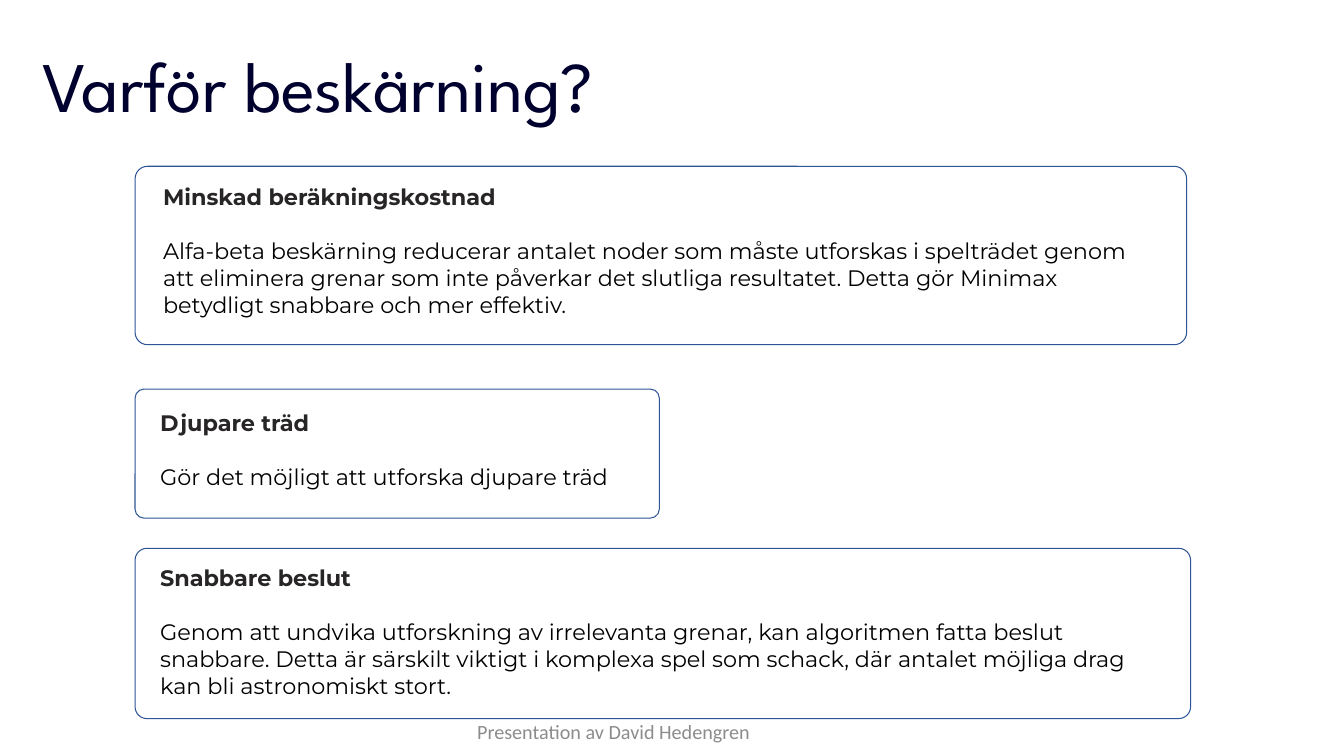
import pptx
import pptx.dml.color
import pptx.enum.shapes
import pptx.enum.text
import pptx.util

RGBColor = pptx.dml.color.RGBColor
NAVY = RGBColor(0x00, 0x00, 0x2E)
BLUE = RGBColor(0x2F, 0x55, 0x97)
DARK = RGBColor(0x27, 0x25, 0x25)
BLACK = RGBColor(0x00, 0x00, 0x00)
GREY = RGBColor(0x8C, 0x8C, 0x8C)
WIDTH = pptx.util.Inches(13.33)
HEIGHT = pptx.util.Inches(7.5)

# Each card: box, text inset (x, y), text size (w, h), heading, body; all in percent of the slide.
CARDS = [
    ((10.05, 22, 78.24, 23.6), (1.35, 1.6), (74.57, 19.33), "Minskad beräkningskostnad",
     "Alfa-beta beskärning reducerar antalet noder som måste utforskas i spelträdet genom "
     "att eliminera grenar som inte påverkar det slutliga resultatet. Detta gör Minimax "
     "betydligt snabbare och mer effektiv."),
    ((10.05, 51.47, 39.01, 17.07), (1.13, 2), (37.81, 12.13), "Djupare träd",
     "Gör det möjligt att utforska djupare träd"),
    ((10.05, 72.53, 78.54, 22.53), (1.13, 1.47), (74.57, 19.33), "Snabbare beslut",
     "Genom att undvika utforskning av irrelevanta grenar, kan algoritmen fatta beslut "
     "snabbare. Detta är särskilt viktigt i komplexa spel som schack, där antalet möjliga "
     "drag kan bli astronomiskt stort."),
]


def place(box):
    """Turn a box in percent of the slide into lengths."""
    x, y, w, h = box
    return [int(WIDTH * x / 100), int(HEIGHT * y / 100),
            int(WIDTH * w / 100), int(HEIGHT * h / 100)]


def add_text_frame(s, box):
    """Add a wrapping text box and return its text frame."""
    tf = s.shapes.add_textbox(*place(box)).text_frame
    tf.word_wrap = True
    return tf


def add_run(p, text, font, size, color, bold=False):
    """Add one formatted run to a paragraph."""
    r = p.add_run()
    r.text = text
    r.font.name = font
    r.font.size = pptx.util.Pt(size)
    r.font.color.rgb = color
    r.font.bold = bold


def add_title(s, box, text):
    """Add the slide title without insets."""
    tf = add_text_frame(s, box)
    tf.margin_left = tf.margin_right = tf.margin_top = tf.margin_bottom = 0
    p = tf.paragraphs[0]
    p.line_spacing = pptx.util.Pt(63.8)
    add_run(p, text, "League Spartan", 50.8, NAVY)


def add_card(s, box, inset, size, heading, body):
    """Add a rounded outline with a heading and body inside it."""
    sp = s.shapes.add_shape(pptx.enum.shapes.MSO_SHAPE.ROUNDED_RECTANGLE, *place(box))
    sp.adjustments[0] = 0.07
    sp.shadow.inherit = False
    sp.fill.background()
    sp.line.color.rgb = BLUE
    sp.line.width = pptx.util.Pt(0.75)
    tf = add_text_frame(s, (box[0] + inset[0], box[1] + inset[1], *size))
    add_run(tf.paragraphs[0], heading, "Montserrat", 16, DARK, True)
    p = tf.add_paragraph()
    p.space_before = pptx.util.Pt(19.2)
    add_run(p, body, "Montserrat", 16, BLACK)


def add_footer(s, box, text):
    """Add the centred footer."""
    tf = add_text_frame(s, box)
    tf.vertical_anchor = pptx.enum.text.MSO_ANCHOR.MIDDLE
    p = tf.paragraphs[0]
    p.alignment = pptx.enum.text.PP_ALIGN.CENTER
    add_run(p, text, "Calibri", 14.4, GREY)


def main():
    """Build and save the slide."""
    prs = pptx.Presentation()
    prs.slide_width, prs.slide_height = WIDTH, HEIGHT
    s = prs.slides.add_slide(prs.slide_layouts[6])
    add_title(s, (3.15, 4.93, 53.26, 14.27), "Varför beskärning?")
    for card in CARDS:
        add_card(s, *card)
    add_footer(s, (22.73, 93.6, 45.84, 6.4), "Presentation av David Hedengren")
    prs.save("out.pptx")


if __name__ == "__main__":
    main()
